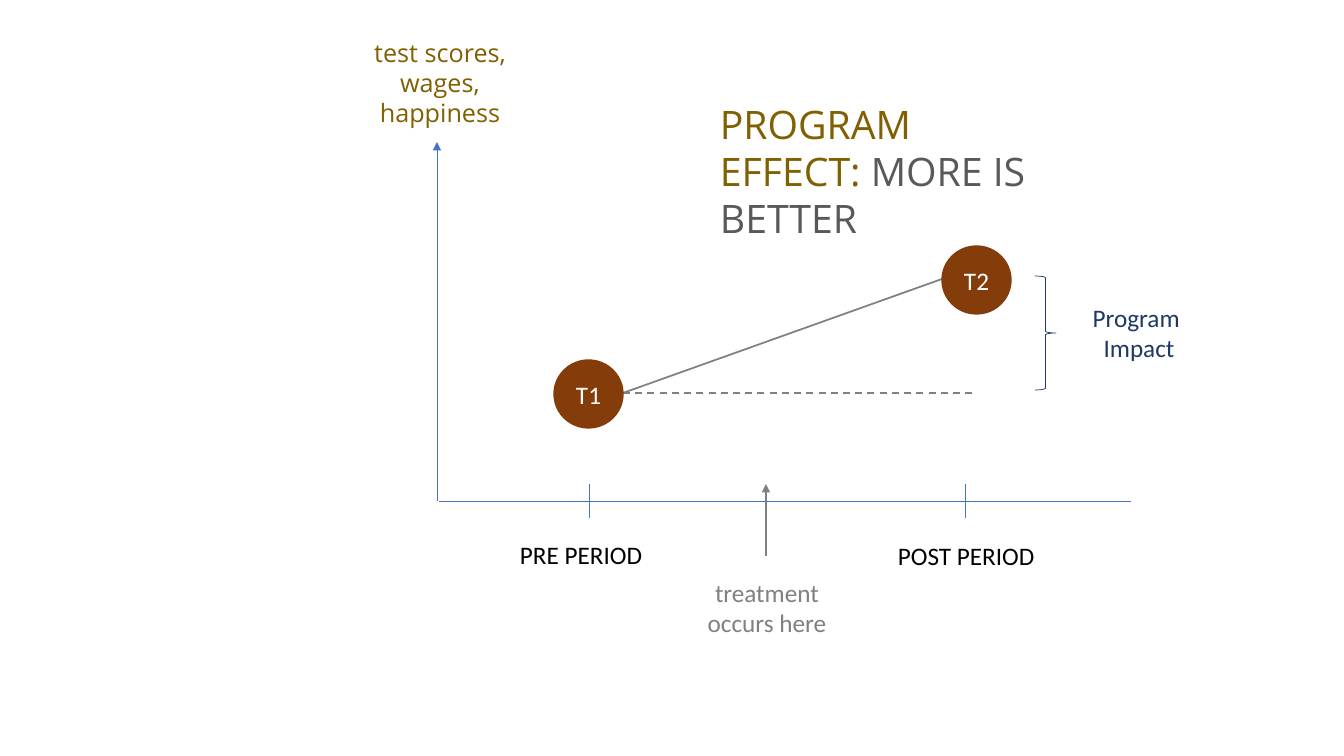
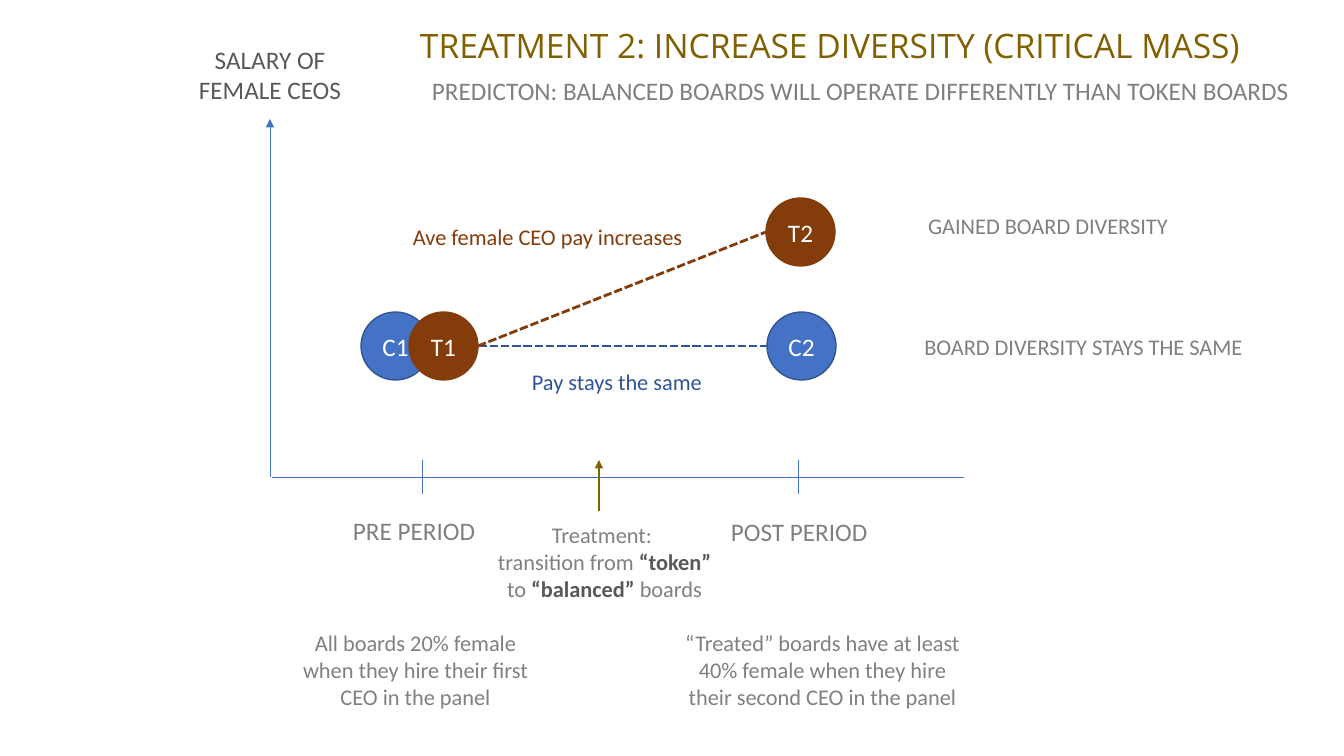
from lxml.etree import SubElement
from pptx import Presentation
from pptx.dml.color import RGBColor
from pptx.enum.dml import MSO_LINE
from pptx.enum.shapes import MSO_CONNECTOR, MSO_SHAPE
from pptx.enum.text import MSO_ANCHOR, PP_ALIGN
from pptx.oxml.ns import qn
from pptx.util import Emu, Pt

PIXEL = 914400 / 100.8
BLACK = RGBColor(0x00, 0x00, 0x00)
WHITE = RGBColor(0xFF, 0xFF, 0xFF)
GRAY = RGBColor(0x80, 0x80, 0x80)
DARK_GRAY = RGBColor(0x59, 0x59, 0x59)
GOLD = RGBColor(0x80, 0x60, 0x00)
BROWN = RGBColor(0x84, 0x3C, 0x0B)
BLUE = RGBColor(0x44, 0x72, 0xC4)
BLUE_EDGE = RGBColor(0x32, 0x54, 0x91)
DEEP_BLUE = RGBColor(0x2F, 0x55, 0x97)
NAVY = RGBColor(0x20, 0x38, 0x64)
BODY_FONT, TITLE_FONT = "Calibri", "Open Sans"
LEFT, CENTER = PP_ALIGN.LEFT, PP_ALIGN.CENTER


def add_line(slide, start, end, color, width, dash=None, arrow=False):
    points = [Emu(round(value * PIXEL)) for value in (*start, *end)]
    connector = slide.shapes.add_connector(MSO_CONNECTOR.STRAIGHT, *points)
    connector.line.color.rgb = color
    connector.line.width = Pt(width)
    if dash:
        connector.line.dash_style = dash
    if arrow:
        SubElement(connector.line._get_or_add_ln(), qn("a:tailEnd"), type="triangle")
    SubElement(connector._element.spPr, qn("a:effectLst"))


def write_text(shape, text, size, color, align, font=BODY_FONT, accent_bold=False):
    """Write one paragraph per line; parts between asterisks are accented."""
    frame = shape.text_frame
    for index, line in enumerate(text.split("\n")):
        paragraph = frame.add_paragraph() if index else frame.paragraphs[0]
        paragraph.alignment = align
        for position, part in enumerate(line.split("*")):
            if not part:
                continue
            accented = position % 2 == 1
            run = paragraph.add_run()
            run.text = part
            run.font.name = font
            run.font.size = Pt(size)
            run.font.bold = accented and accent_bold
            run.font.color.rgb = DARK_GRAY if accented else color


presentation = Presentation()
presentation.slide_width = Emu(round(1344 * PIXEL))
presentation.slide_height = Emu(round(756 * PIXEL))

# Charts: origin, axis height, treatment arrow, lines, circles and texts
# Text: left, top, width, height, wrap, text, size, colour, alignment, font
charts = [
    {
        "origin": (437, 501), "height": 359, "period_color": BLACK,
        "treatment": (55, GRAY),
        "lines": [
            ((623, 393), (942, 279), GRAY, 1.25),
            ((623, 393), (972, 393), GRAY, 1.25, MSO_LINE.DASH),
        ],
        "circles": [
            (942, 246, "T2", BROWN, BROWN),
            (554, 360, "T1", BROWN, BROWN),
        ],
        "texts": [
            (697, 572, 140, 72, False, "treatment\noccurs here", 18, GRAY, CENTER),
            (710, 95, 356, 105, True, "PROGRAM EFFECT: *MORE IS BETTER*",
             28, GOLD, LEFT, TITLE_FONT),
            (337, 32, 206, 102, True, "test scores, wages,\nhappiness",
             18, GOLD, CENTER, TITLE_FONT),
            (1082, 297, 114, 72, False, "Program \nImpact", 18, NAVY, CENTER),
        ],
    },
    {
        "origin": (270, 477), "height": 358, "period_color": GRAY,
        "treatment": (34, GOLD),
        "lines": [
            ((422, 346), (767, 346), DEEP_BLUE, 2, MSO_LINE.SQUARE_DOT),
            ((478, 346), (766, 232), BROWN, 2, MSO_LINE.SQUARE_DOT),
        ],
        "circles": [
            (767, 312, "C2", BLUE, BLUE_EDGE),
            (361, 312, "C1", BLUE, BLUE_EDGE),
            (766, 198, "T2", BROWN, BROWN),
            (409, 312, "T1", BROWN, BROWN),
        ],
        "texts": [
            (479, 516, 251, 92, True,
             "Treatment: \ntransition from *“token” *to *“balanced” *boards",
             16, GRAY, CENTER, BODY_FONT, True),
            (672, 624, 301, 92, True,
             "“Treated” boards have at least 40% female when they hire "
             "their second CEO in the panel", 16, GRAY, CENTER),
            (290, 624, 251, 92, True,
             "All boards 20% female when they hire their first CEO in the panel",
             16, GRAY, CENTER),
            (422, 70, 901, 40, True,
             "PREDICTON: BALANCED BOARDS WILL OPERATE DIFFERENTLY THAN TOKEN BOARDS",
             18, GRAY, LEFT),
            (409, 20, 842, 50, False,
             "TREATMENT 2: INCREASE DIVERSITY (CRITICAL MASS)",
             24, GOLD, CENTER, TITLE_FONT),
            (186, 39, 168, 72, True, "SALARY OF FEMALE CEOS", 18, DARK_GRAY, CENTER),
            (522, 363, 193, 37, False, "Pay stays the same", 16, DEEP_BLUE, LEFT),
            (403, 218, 293, 37, False, "Ave female CEO pay increases", 16, BROWN, LEFT),
            (905, 207, 286, 37, True, "GAINED BOARD DIVERSITY", 16, GRAY, CENTER),
            (905, 328, 357, 37, True, "BOARD DIVERSITY STAYS THE SAME", 16, GRAY, CENTER),
        ],
    },
]

for chart in charts:
    slide = presentation.slides.add_slide(presentation.slide_layouts[6])
    left, base = chart["origin"]

    # Axes, period ticks and treatment arrow
    add_line(slide, (left, base), (left, base - chart["height"]), BLUE, 0.5, arrow=True)
    add_line(slide, (left + 2, base), (left + 694, base), BLUE, 0.5)
    for tick in (left + 152, left + 528):
        add_line(slide, (tick, base - 17), (tick, base + 17), BLUE, 0.5)
    depth, treatment_color = chart["treatment"]
    add_line(slide, (left + 329, base + depth), (left + 329, base - 17),
             treatment_color, 1.25, arrow=True)

    # Trend lines
    for line in chart["lines"]:
        add_line(slide, *line)

    # Group circles
    for x, y, label, fill, edge in chart["circles"]:
        box = [Emu(round(value * PIXEL)) for value in (x, y, 69, 68)]
        circle = slide.shapes.add_shape(MSO_SHAPE.OVAL, *box)
        circle.shadow.inherit = False
        circle.fill.solid()
        circle.fill.fore_color.rgb = fill
        circle.line.color.rgb = edge
        circle.line.width = Pt(1)
        circle.text_frame.vertical_anchor = MSO_ANCHOR.MIDDLE
        write_text(circle, label, 18, WHITE, CENTER)

    # Period labels and other texts
    periods = [
        (left + 73, base + 33, 143, 40, False, "PRE PERIOD", 18,
         chart["period_color"], LEFT),
        (left + 451, base + 34, 158, 40, False, "POST PERIOD", 18,
         chart["period_color"], LEFT),
    ]
    for x, y, width, height, wrap, *content in periods + chart["texts"]:
        box = [Emu(round(value * PIXEL)) for value in (x, y, width, height)]
        text_box = slide.shapes.add_textbox(*box)
        text_box.text_frame.word_wrap = wrap
        write_text(text_box, *content)

# Program impact brace on the first slide
brace_box = [Emu(round(value * PIXEL)) for value in (1035, 276, 21, 114)]
brace = presentation.slides[0].shapes.add_shape(MSO_SHAPE.RIGHT_BRACE, *brace_box)
brace.shadow.inherit = False
brace.fill.background()
brace.line.color.rgb = NAVY
brace.line.width = Pt(0.5)

presentation.save("out.pptx")
